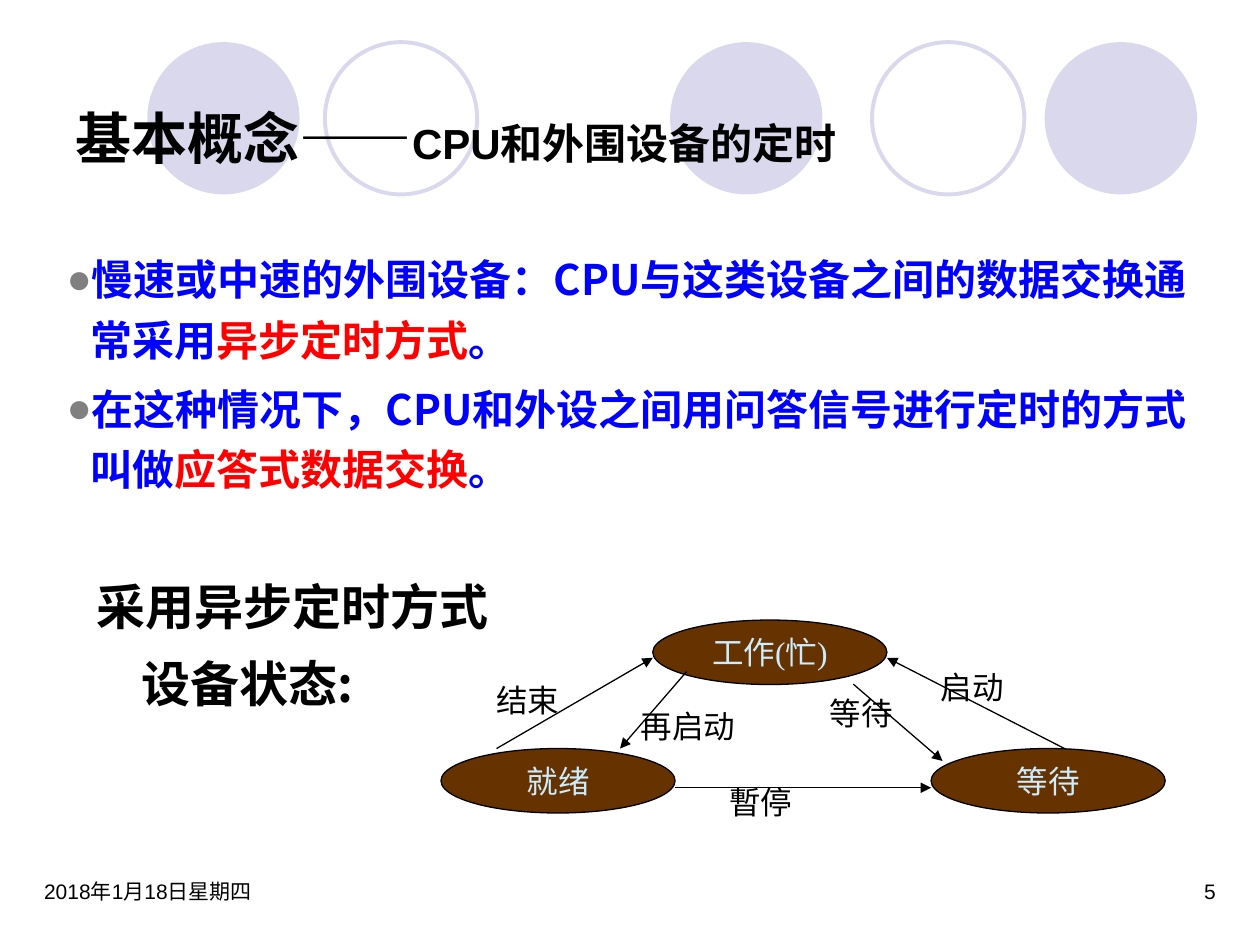
from lxml import etree
from pptx import Presentation
from pptx.dml.color import RGBColor
from pptx.enum.shapes import MSO_CONNECTOR, MSO_SHAPE
from pptx.enum.text import MSO_ANCHOR, MSO_AUTO_SIZE, PP_ALIGN
from pptx.oxml.ns import qn
from pptx.util import Cm, Pt

ELLIPSE = MSO_SHAPE.OVAL
STRAIGHT = MSO_CONNECTOR.STRAIGHT
LEFT, CENTER, RIGHT = PP_ALIGN.LEFT, PP_ALIGN.CENTER, PP_ALIGN.RIGHT
MIDDLE, TOP = MSO_ANCHOR.MIDDLE, MSO_ANCHOR.TOP
NO_FIT = MSO_AUTO_SIZE.NONE

SANS, CJK, SERIF = "Arial", "Noto Sans CJK SC", "Times New Roman"
BLACK, BLUE, RED, LAVENDER = "000000", "0000FF", "FF0000", "D9D8EC"
BROWN, PALE_BLUE, GREY = "663300", "CCECFF", "808080"

CIRCLES = [(2.97, True), (6.55, False), (13.51, True), (17.58, False), (21.06, True)]
BULLETS = [
    [("慢速或中速的外围设备：CPU与这类设备之间的数据交换通常采用", BLUE),
     ("异步定时方式", RED), ("。", BLUE)],
    [("在这种情况下，CPU和外设之间用问答信号进行定时的方式叫做", BLUE),
     ("应答式数据交换", RED), ("。", BLUE)],
]
STATES = [("工作(忙)", 13.16, 12.5), ("就绪", 8.89, 15.09), ("等待", 18.77, 15.09)]
TRANSITIONS = [
    ((10.01, 15.09), (13.16, 13.26)),
    ((13.84, 13.54), (12.5, 15.09)),
    ((13.61, 15.88), (18.77, 15.88)),
    ((17.2, 13.79), (19, 15.34)),
    ((21.46, 15.09), (17.88, 13.26)),
]
SIGNALS = [("结束", 9.75, 13.61), ("再启动", 12.67, 14.12), ("等待", 16.48, 13.87),
           ("启动", 18.72, 13.34), ("暫停", 14.45, 15.67)]


def color(hex_code):
    """Turn a hex string into a colour."""
    return RGBColor.from_string(hex_code)


def format_run(run, size, face, hex_code, bold=False):
    """Set size, Latin and East Asian face, colour and weight of a run."""
    run.font.size, run.font.bold, run.font.name = Pt(size), bold, face
    run.font.color.rgb = color(hex_code)
    etree.SubElement(run.font._element, qn("a:ea"), typeface=CJK)


def add_run(paragraph, text, *style):
    """Append a formatted run to a paragraph."""
    run = paragraph.add_run()
    run.text = text
    format_run(run, *style)


def place(shape, left, top, width, height):
    """Move and size a placeholder in centimetres."""
    shape.left, shape.top = Cm(left), Cm(top)
    shape.width, shape.height = Cm(width), Cm(height)


def add_label(slide, text, box, style, align=LEFT, wrap=True):
    """Add a one-line text box."""
    label = slide.shapes.add_textbox(*map(Cm, box))
    label.text_frame.word_wrap = wrap
    label.text_frame.text = text
    paragraph = label.text_frame.paragraphs[0]
    paragraph.alignment = align
    format_run(paragraph.runs[0], *style)


def add_ellipse(slide, box, fill, line, weight):
    """Add an ellipse without shadow, filled only when a fill is given."""
    ellipse = slide.shapes.add_shape(ELLIPSE, *map(Cm, box))
    ellipse.shadow.inherit = False
    if fill:
        ellipse.fill.solid()
        ellipse.fill.fore_color.rgb = color(fill)
    else:
        ellipse.fill.background()
    if line:
        ellipse.line.color.rgb = color(line)
        ellipse.line.width = Pt(weight)
    else:
        ellipse.line.fill.background()
    return ellipse


def add_circles(slide):
    """Put the decorative circles behind the title."""
    for depth, (left, filled) in enumerate(CIRCLES, start=2):
        fill, line = (LAVENDER, None) if filled else (None, LAVENDER)
        circle = add_ellipse(slide, (left, 0.85, 3.07, 3.07), fill, line, 2.25)
        slide.shapes._spTree.insert(depth, circle._element)


def add_title(slide):
    """Fill the title with a large topic and a smaller subject."""
    title = slide.shapes.title
    place(title, 1.27, 1.6, 22.86, 2.34)
    frame = title.text_frame
    frame.auto_size, frame.vertical_anchor = NO_FIT, MIDDLE
    heading = frame.paragraphs[0]
    heading.alignment = LEFT
    add_run(heading, "基本概念——", 32, SANS, BLACK, True)
    add_run(heading, "CPU和外围设备的定时", 24, SANS, BLACK, True)


def add_bullet(paragraph):
    """Give a paragraph a hanging grey dot."""
    properties = paragraph._p.get_or_add_pPr()
    properties.set("marL", str(Cm(0.48)))
    properties.set("indent", str(-Cm(0.48)))
    tint = etree.SubElement(properties, qn("a:buClr"))
    etree.SubElement(tint, qn("a:srgbClr"), val=GREY)
    etree.SubElement(properties, qn("a:buFont"), typeface=SANS)
    etree.SubElement(properties, qn("a:buChar"), char="●")


def add_body(slide):
    """Fill the body with the two bulleted statements."""
    body = slide.placeholders[1]
    place(body, 1.09, 4.7, 23.85, 12.32)
    frame = body.text_frame
    frame.auto_size, frame.vertical_anchor = NO_FIT, TOP
    frame.margin_top = Cm(0.22)
    for index, parts in enumerate(BULLETS):
        statement = frame.add_paragraph() if index else frame.paragraphs[0]
        add_bullet(statement)
        statement.alignment = LEFT
        statement.line_spacing = Pt(34.4)
        statement.space_before, statement.space_after = Pt(0), Pt(5)
        for text, hex_code in parts:
            add_run(statement, text, 24, CJK, hex_code, True)


def add_caption(slide):
    """Add the two-line heading of the state diagram."""
    caption = slide.shapes.add_textbox(Cm(1.7), Cm(11.53), Cm(18.62), Cm(4.65))
    frame = caption.text_frame
    frame.word_wrap = True
    frame.margin_top = Cm(0.22)
    frame.text = "采用异步定时方式\n设备状态:"
    for paragraph in frame.paragraphs:
        paragraph.line_spacing = Pt(30)
        format_run(paragraph.runs[0], 28, CJK, BLACK, True)
    status = frame.paragraphs[1]
    status.space_before = Pt(14)
    status._p.get_or_add_pPr().set("marL", str(Cm(0.91)))


def add_state(slide, text, left, top):
    """Add one device state."""
    state = add_ellipse(slide, (left, top, 4.72, 1.3), BROWN, BLACK, 0.75)
    frame = state.text_frame
    frame.word_wrap, frame.vertical_anchor = False, MIDDLE
    frame.text = text
    frame.paragraphs[0].alignment = CENTER
    format_run(frame.paragraphs[0].runs[0], 18, SERIF, PALE_BLUE)


def add_arrow(slide, start, end):
    """Add a state transition arrow."""
    arrow = slide.shapes.add_connector(STRAIGHT, *map(Cm, start + end))
    arrow.line.color.rgb = color(BLACK)
    arrow.line.width = Pt(0.75)
    etree.SubElement(arrow.line._get_or_add_ln(), qn("a:tailEnd"), type="triangle")
    etree.SubElement(arrow._element.spPr, qn("a:effectLst"))


def main():
    """Build the slide and save it."""
    deck = Presentation()
    deck.slide_width, deck.slide_height = Cm(25.4), Cm(19.05)
    slide = deck.slides.add_slide(deck.slide_layouts[1])
    add_circles(slide)
    footer = (12, SANS, BLACK)
    add_label(slide, "2018年1月18日星期四", (0.64, 17.58, 5.92, 1.27), footer)
    add_label(slide, "5", (18.84, 17.58, 5.92, 1.27), footer, RIGHT)
    add_title(slide)
    add_body(slide)
    add_caption(slide)
    for state in STATES:
        add_state(slide, *state)
    for transition in TRANSITIONS:
        add_arrow(slide, *transition)
    for text, left, top in SIGNALS:
        width = 0.5 + 0.64 * len(text)
        add_label(slide, text, (left, top, width, 1.02), (18, SERIF, BLACK), wrap=False)
    deck.save("out.pptx")


if __name__ == "__main__":
    main()
